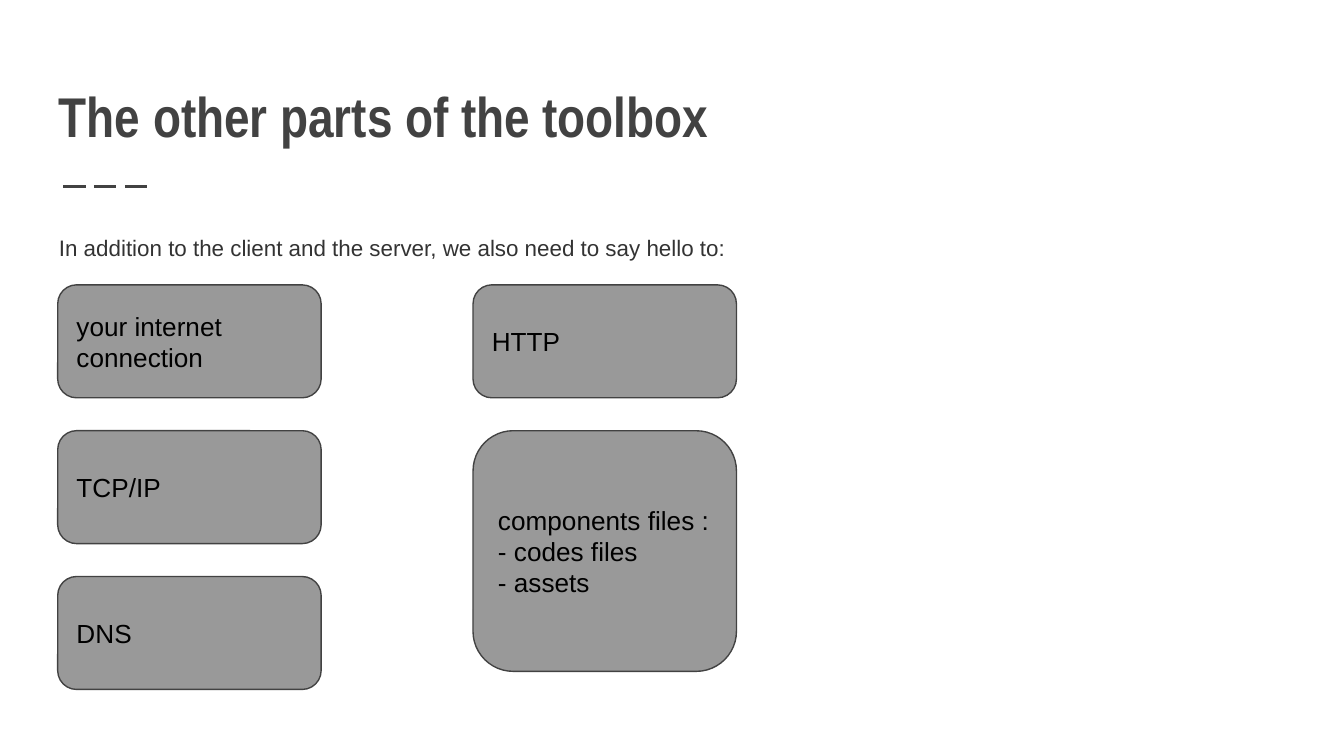
from lxml import etree
from pptx import Presentation
from pptx.dml.color import RGBColor
from pptx.enum.dml import MSO_LINE
from pptx.enum.shapes import MSO_CONNECTOR, MSO_SHAPE
from pptx.enum.text import MSO_ANCHOR as Anchor, PP_ALIGN as Align
from pptx.oxml.ns import qn
from pptx.util import Inches, Pt

DARK = RGBColor(0x42, 0x42, 0x42)
BODY = RGBColor(0x33, 0x33, 0x33)
GRAY = RGBColor(0x99, 0x99, 0x99)
BLACK = RGBColor(0, 0, 0)

CARD_W, CARD_H = 1.96, 0.84
COLUMN_STEP = 3.09
ROW_STEP = 2.17 / 2  # three rows share this span


def write(shape, text, size=14, font="Arial", color=BLACK, bold=False,
          anchor=Anchor.MIDDLE, spacing=1.0):
    frame = shape.text_frame
    frame.word_wrap = True
    frame.vertical_anchor = anchor
    frame.margin_left = frame.margin_right = Inches(0.1)
    frame.margin_top = frame.margin_bottom = Inches(0.1)
    frame.text = text
    for paragraph in frame.paragraphs:
        paragraph.alignment = Align.LEFT
        paragraph.line_spacing = spacing
        for run in paragraph.runs:
            run.font.size = Pt(size)
            run.font.name = font
            run.font.bold = bold
            run.font.color.rgb = color


def add_heading(slide, left, top, width):
    # Title
    title = slide.shapes.add_textbox(
        Inches(left), Inches(top), Inches(width), Inches(0.8))
    write(title, "The other parts of the toolbox", size=30,
          font="Arial Narrow", color=DARK, bold=True, anchor=Anchor.BOTTOM)

    # Dashed rule under the title
    rule_x, rule_y = left + 0.13, top + 0.98
    rule = slide.shapes.add_connector(
        MSO_CONNECTOR.STRAIGHT, Inches(rule_x), Inches(rule_y),
        Inches(rule_x + 0.67), Inches(rule_y))
    rule.line.color.rgb = DARK
    rule.line.width = Pt(1.5)
    rule.line.dash_style = MSO_LINE.LONG_DASH
    etree.SubElement(rule._element.spPr, qn("a:effectLst"))


def add_intro(slide, left, top, width, height):
    intro = slide.shapes.add_textbox(
        Inches(left), Inches(top), Inches(width), Inches(height))
    write(intro,
          "In addition to the client and the server, we also need to say hello to:",
          size=12, color=BODY, anchor=Anchor.TOP, spacing=1.15)


def add_card(slide, text, left, top, height=CARD_H):
    card = slide.shapes.add_shape(
        MSO_SHAPE.ROUNDED_RECTANGLE, Inches(left), Inches(top),
        Inches(CARD_W), Inches(height))
    card.shadow.inherit = False
    card.fill.solid()
    card.fill.fore_color.rgb = GRAY
    card.line.color.rgb = DARK
    card.line.width = Pt(0.75)
    write(card, text)


def add_toolbox(slide, left, top):
    columns = [
        [("your internet connection", CARD_H), ("TCP/IP", CARD_H), ("DNS", CARD_H)],
        [("HTTP", CARD_H), ("components files :\n- codes files\n- assets", 1.79)],
    ]
    for column, cards in enumerate(columns):
        for row, (text, height) in enumerate(cards):
            add_card(slide, text, left + column * COLUMN_STEP,
                     top + row * ROW_STEP, height)


def main():
    deck = Presentation()
    # Widescreen 16:9
    deck.slide_width = Inches(10)
    deck.slide_height = Inches(10 * 9 / 16)
    slide = deck.slides.add_slide(deck.slide_layouts[6])
    add_heading(slide, 0.34, 0.41, 9.32)
    add_intro(slide, 0.34, 1.61, 9.32, 3.39)
    add_toolbox(slide, 0.43, 2.12)
    deck.save("out.pptx")


if __name__ == "__main__":
    main()
